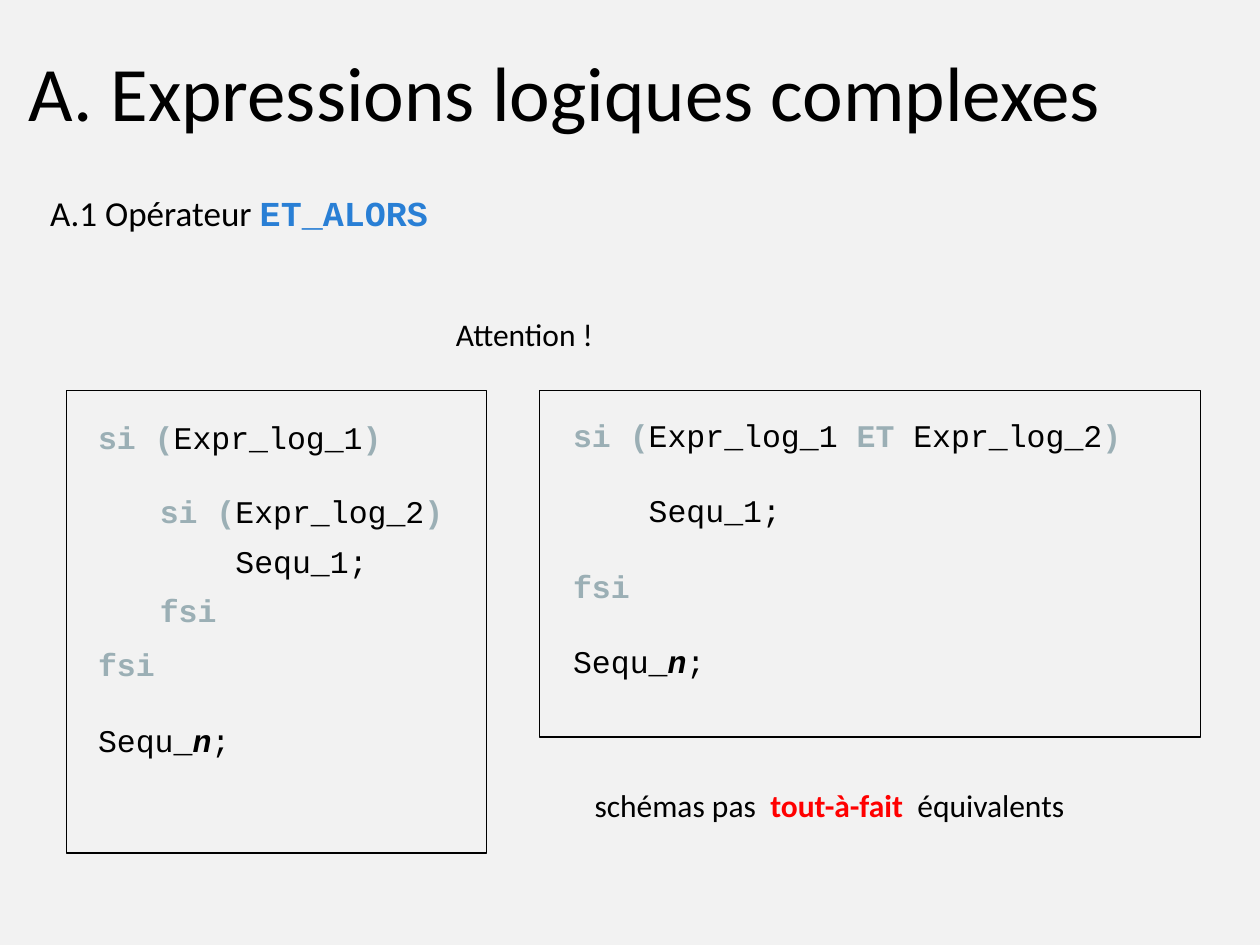
from pptx import Presentation
from pptx.dml.color import RGBColor
from pptx.enum.shapes import MSO_SHAPE
from pptx.util import Inches, Pt

RECTANGLE = MSO_SHAPE.RECTANGLE
COLORS = {"page": "F2F2F2", "text": "000000", "keyword": "9BAFB5",
          "operator": "297FD5", "alert": "FF0000"}
BODY, CODE = "Calibri", "Courier New"
LINE = 21.6  # height of one skipped code line, in points


def rgb(name):
    return RGBColor.from_string(COLORS[name])


def add_span(para, text, size=18, font=BODY, color="text", bold=False, italic=False):
    span = para.add_run()
    span.text = text
    span.font.size = Pt(size)
    span.font.name = font
    span.font.color.rgb = rgb(color)
    span.font.bold = bold
    span.font.italic = italic


def keyword(text):
    return text, {"font": CODE, "color": "keyword", "bold": True}


def code(text, **style):
    return text, {"font": CODE, **style}


def add_text(shapes, left, top, width, height, lines, gaps=(), spacing=None, inset=0.05):
    """Each line is a list of (text, format); gaps count skipped lines before it."""
    box = shapes.add_textbox(Inches(left), Inches(top), Inches(width), Inches(height))
    frame = box.text_frame
    frame.word_wrap = True
    frame.margin_top = Inches(inset)
    for index, line in enumerate(lines):
        para = frame.paragraphs[0] if index == 0 else frame.add_paragraph()
        if index and gaps:
            para.space_before = Pt(gaps[index] * LINE)
        if spacing:
            para.line_spacing = spacing
        for text, style in line:
            add_span(para, text, **style)


def add_frame(shapes, left, top, width, height):
    frame = shapes.add_shape(RECTANGLE, Inches(left), Inches(top),
                             Inches(width), Inches(height))
    frame.shadow.inherit = False
    frame.fill.background()
    frame.line.color.rgb = rgb("text")
    frame.line.width = Pt(0.75)


def add_headings(shapes, left, top, width):
    add_text(shapes, left, top, width, 0.81,
             [[("A. Expressions logiques complexes", {"size": 44})]], inset=0.09)
    add_text(shapes, left + 0.17, top + 1.21, 3.79, 0.44,
             [[("A.1 Opérateur ", {"size": 20}),
               ("ET_ALORS", {"size": 20, "font": CODE, "color": "operator", "bold": True})]])


END_LINE = [keyword("fsi")]
BODY_LINE = [code("    Sequ_1;")]
LAST_LINE = [code("Sequ_"), code("n", bold=True, italic=True), code(";")]


def condition(*parts):
    return [keyword("si ("), *parts, keyword(")")]


def add_nested_scheme(page, left, top, width, height):
    shapes = page.shapes.add_group_shape().shapes
    add_text(shapes, left + 0.64, top + 0.67, 2.7, 1.4,
             [condition(code("Expr_log_2")), BODY_LINE, END_LINE], spacing=1.3)
    add_text(shapes, left + 0.15, top + 0.17, 2.7, 3.1,
             [condition(code("Expr_log_1")), END_LINE, LAST_LINE], gaps=(0, 5, 1))
    add_frame(shapes, left, top, width, height)


def add_combined_scheme(page, left, top, width, height):
    shapes = page.shapes.add_group_shape().shapes
    test = condition(code("Expr_log_1 "), keyword("ET"), code(" Expr_log_2"))
    add_text(shapes, left + 0.17, top + 0.15, 5.03, 2.43,
             [test, BODY_LINE, END_LINE, LAST_LINE], gaps=(0, 1, 1, 1))
    add_frame(shapes, left, top, width, height)


def main():
    deck = Presentation()
    deck.slide_width, deck.slide_height = Inches(10), Inches(7.5)
    page = deck.slides.add_slide(deck.slide_layouts[6])
    page.background.fill.solid()
    page.background.fill.fore_color.rgb = rgb("page")

    # Title and section
    add_headings(page.shapes, 0.13, 0.26, 9.73)

    # The two schemes under the warning
    add_text(page.shapes, 3.52, 2.45, 1.41, 0.43, [[("Attention !", {})]])
    add_nested_scheme(page, 0.53, 3.1, 3.33, 3.67)
    add_combined_scheme(page, 4.28, 3.1, 5.25, 2.75)

    # Conclusion
    add_text(page.shapes, 4.62, 6.19, 4.32, 0.43,
             [[("schémas pas  ", {}), ("tout-à-fait", {"color": "alert", "bold": True}),
               ("  équivalents", {})]])
    deck.save("out.pptx")


if __name__ == "__main__":
    main()
